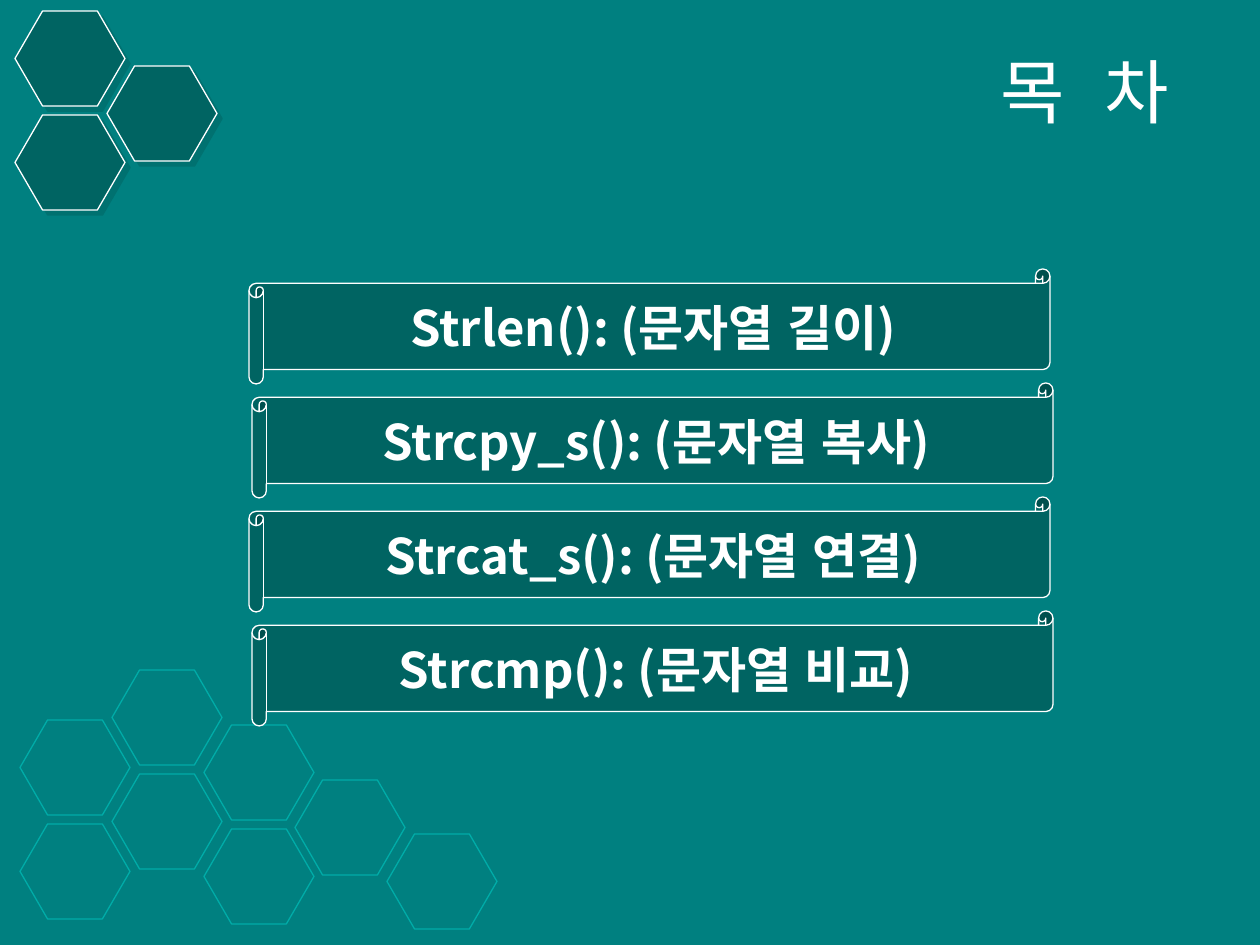
from typing import NamedTuple

from lxml import etree
from pptx import Presentation
from pptx.dml.color import RGBColor
from pptx.enum.shapes import MSO_SHAPE
from pptx.enum.text import MSO_ANCHOR, PP_ALIGN
from pptx.oxml.ns import qn
from pptx.util import Emu, Pt

PX = 914400 // 126

TEAL = RGBColor(0x00, 0x80, 0x80)
DARK_TEAL = RGBColor(0x00, 0x64, 0x62)
LIGHT_TEAL = RGBColor(0x00, 0xAC, 0xA8)
WHITE = RGBColor(0xFF, 0xFF, 0xFF)

HEX_WIDTH, HEX_HEIGHT = 110, 95
COLUMN_STEP, ROW_STEP, COLUMN_DROP = 91.75, 104, 54.5


class Honeycomb(NamedTuple):
    left: int
    top: int
    cells: list[tuple[int, int]]  # column, row
    line: RGBColor
    filled: bool


class Scroll(NamedTuple):
    left: int
    text: str


HONEYCOMBS = [
    Honeycomb(20, 720, [(2, 1 - 1), (2, -1), (3, -1), (4, -1), (1, 0), (1, -1), (0, 0), (0, 1)],
              LIGHT_TEAL, False),
    Honeycomb(15, 11, [(0, 1), (0, 0), (1, 0)], WHITE, True),
]
SCROLLS = [
    Scroll(249, "Strlen(): (문자열 길이)"),
    Scroll(252, "Strcpy_s(): (문자열 복사)"),
    Scroll(249, "Strcat_s(): (문자열 연결)"),
    Scroll(252, "Strcmp(): (문자열 비교)"),
]
SCROLL_TOP, SCROLL_STEP, SCROLL_WIDTH, SCROLL_HEIGHT = 269, 114, 801, 115


def px(value: float) -> Emu:
    return Emu(round(value) * PX)


def add_outline(slide, kind, left: float, top: float, width: int, height: int,
                line: RGBColor, filled: bool):
    shape = slide.shapes.add_shape(kind, px(left), px(top), px(width), px(height))
    shape.shadow.inherit = False
    if filled:
        shape.fill.solid()
        shape.fill.fore_color.rgb = DARK_TEAL
    else:
        shape.fill.background()
    shape.line.color.rgb = line
    shape.line.width = Pt(0.75)
    return shape


def add_shadow(shape) -> None:
    effects = shape._element.spPr.find(qn("a:effectLst"))
    shadow = etree.SubElement(effects, qn("a:outerShdw"), dist=str(Pt(4.2)),
                              dir="2700000", algn="ctr", rotWithShape="0")
    color = etree.SubElement(shadow, qn("a:srgbClr"), val=str(DARK_TEAL))
    etree.SubElement(color, qn("a:alpha"), val="50000")


def add_honeycomb(slide, comb: Honeycomb) -> None:
    for column, row in comb.cells:
        left = comb.left + column * COLUMN_STEP
        top = comb.top + column * COLUMN_DROP + row * ROW_STEP
        cell = add_outline(slide, MSO_SHAPE.HEXAGON, left, top, HEX_WIDTH, HEX_HEIGHT,
                           comb.line, comb.filled)
        cell.adjustments[0] = 0.29
        if comb.filled:
            add_shadow(cell)


def write(shape, text: str, align, font_name: str, size: int, bold: bool) -> None:
    frame = shape.text_frame
    frame.word_wrap = True
    frame.vertical_anchor = MSO_ANCHOR.MIDDLE
    paragraph = frame.paragraphs[0]
    paragraph.alignment = align
    run = paragraph.add_run()
    run.text = text
    run.font.name = font_name
    run.font.size = Pt(size)
    run.font.bold = bold
    run.font.color.rgb = WHITE
    properties = run._r.get_or_add_rPr()
    properties.set("lang", "ko-KR")
    etree.SubElement(properties, qn("a:ea"), typeface="Noto Sans CJK KR")


prs = Presentation()
prs.slide_width, prs.slide_height = px(1260), px(945)
slide = prs.slides.add_slide(prs.slide_layouts[6])
slide.background.fill.solid()
slide.background.fill.fore_color.rgb = TEAL

# Honeycomb decoration
for honeycomb in HONEYCOMBS:
    add_honeycomb(slide, honeycomb)

# Title
title = slide.shapes.add_textbox(px(233), px(35), px(948), px(110))
write(title, "목  차", PP_ALIGN.RIGHT, "Arial", 40, False)

# Contents
for index, scroll in enumerate(SCROLLS):
    banner = add_outline(slide, MSO_SHAPE.HORIZONTAL_SCROLL, scroll.left,
                         SCROLL_TOP + index * SCROLL_STEP, SCROLL_WIDTH, SCROLL_HEIGHT,
                         WHITE, True)
    write(banner, scroll.text, PP_ALIGN.CENTER, "Noto Sans CJK KR", 28, True)

prs.save("out.pptx")
